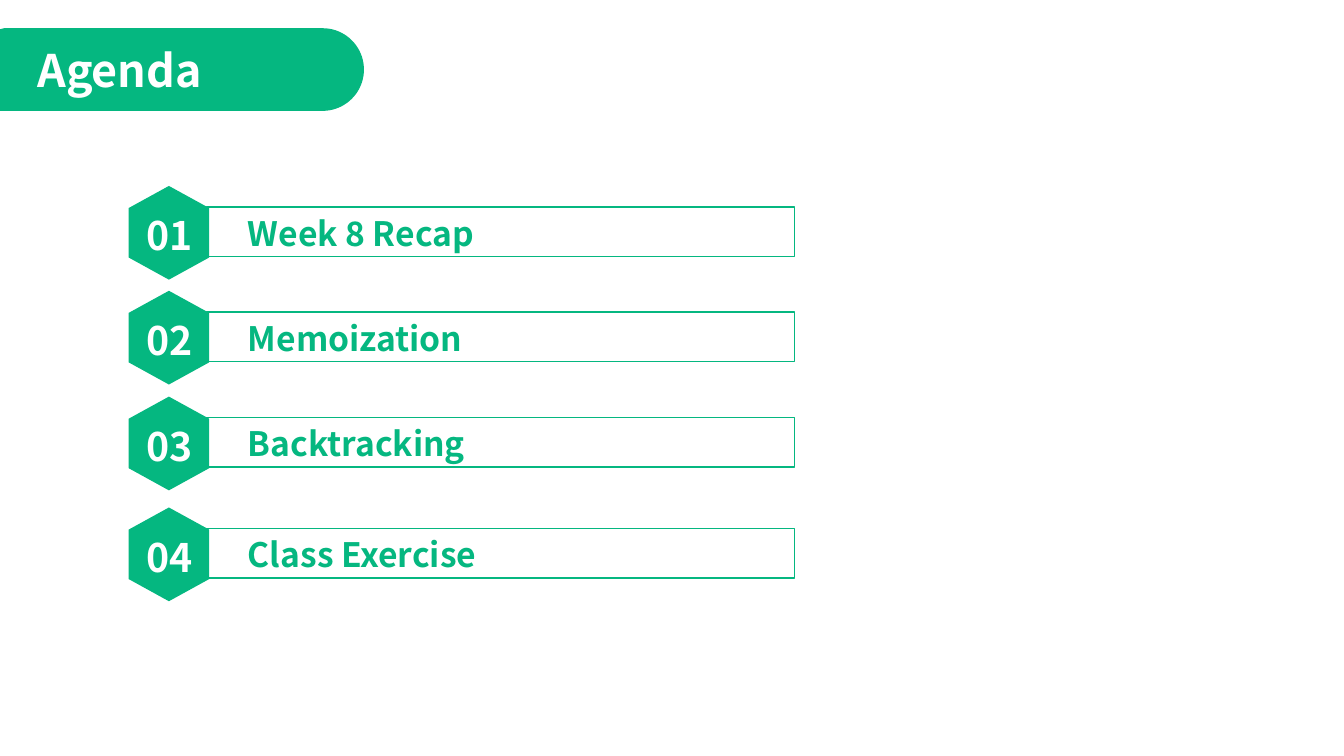
from math import cos, pi, sin

from pptx import Presentation
from pptx.dml.color import RGBColor
from pptx.enum.shapes import MSO_SHAPE as SHAPE
from pptx.enum.text import MSO_ANCHOR as ANCHOR, MSO_AUTO_SIZE as SIZING, PP_ALIGN as ALIGN
from pptx.util import Inches, Pt

WIDE, HIGH = 13.33, 7.5
COLORS = {"green": "05B780", "white": "FFFFFF"}
FONT = {"name": "Noto Sans CJK SC", "bold": True}
FRAME = {"word_wrap": True, "auto_size": SIZING.NONE, "vertical_anchor": ANCHOR.TOP}

# Number, topic, middle of the row, width of the topic's box
ROWS = [
    ("01", "Week 8 Recap", 2.31, 2.73),
    ("02", "Memoization", 3.35, 4.96),
    ("03", "Backtracking", 4.4, 5.64),
    ("04", "Class Exercise", 5.5, 2.59),
]


def color(name):
    """Return a named colour of the slide."""
    return RGBColor.from_string(COLORS[name])


def place(shape, *box):
    """Set left, top, width and height in inches."""
    for key, value in zip(("left", "top", "width", "height"), box):
        setattr(shape, key, Inches(value))


def write(shape, text, size, tint):
    """Put one left-aligned line of bold text in a shape."""
    frame = shape.text_frame
    frame.text = text
    for key, value in FRAME.items():
        setattr(frame, key, value)
    line = frame.paragraphs[0]
    line.alignment = ALIGN.LEFT
    font = line.runs[0].font
    for key, value in {**FONT, "size": Pt(size)}.items():
        setattr(font, key, value)
    font.color.rgb = color(tint)


def label(shapes, text, size, tint, *box):
    """Add a text box."""
    item = shapes.add_textbox(*map(Inches, box))
    write(item, text, size, tint)


def solid(shape):
    """Fill a shape with green, without outline or shadow."""
    shape.fill.solid()
    shape.fill.fore_color.rgb = color("green")
    shape.line.fill.background()
    shape.shadow.inherit = False


def banner(shapes):
    """Draw the title's band, round at its right end, behind the title."""
    mid, edge, radius, steps = 0.69, 3.2, 0.41, 40
    turns = [pi * (step / steps - 0.5) for step in range(steps + 1)]
    arc = [(edge + radius * cos(turn), mid + radius * sin(turn)) for turn in turns]
    points = [(0.04, mid - radius), *arc, (0, mid + radius)]
    pen = shapes.build_freeform(0, Inches(0.29))
    pen.add_line_segments([(Inches(x), Inches(y)) for x, y in points])
    band = pen.convert_to_shape()
    solid(band)
    shapes.title._element.addprevious(band._element)


def bar(shapes, mid):
    """Draw the outlined bar of a row."""
    high = 0.49
    item = shapes.add_shape(SHAPE.RECTANGLE, 0, 0, 0, 0)
    place(item, 2.05, mid - high / 2 - 0.01, 5.83, high)
    item.fill.background()
    item.line.color.rgb = color("green")
    item.line.width = Pt(1)
    item.shadow.inherit = False


def badge(shapes, number, mid):
    """Draw a numbered hexagon standing on its point."""
    high = 0.8
    group = shapes.add_group_shape().shapes
    item = group.add_shape(
        SHAPE.HEXAGON, *map(Inches, (1.21, mid - high / 2, 0.93, high)))
    item.adjustments[0] = 0.275
    item.rotation = 90
    solid(item)
    label(group, number, 28, "white", 1.35, mid - 0.26, 0.82, 0.57)


def main():
    """Build the agenda slide."""
    deck = Presentation()
    deck.slide_width, deck.slide_height = Inches(WIDE), Inches(HIGH)
    shapes = deck.slides.add_slide(deck.slide_layouts[5]).shapes
    place(shapes.title, 0.27, 0.37, 3.06, 0.64)
    write(shapes.title, "Agenda", 32, "white")
    banner(shapes)
    for number, topic, mid, width in ROWS:
        bar(shapes, mid)
        badge(shapes, number, mid)
        label(shapes, topic, 24, "green", 2.36, mid - 0.25, width, 0.5)
    deck.save("out.pptx")


main()
